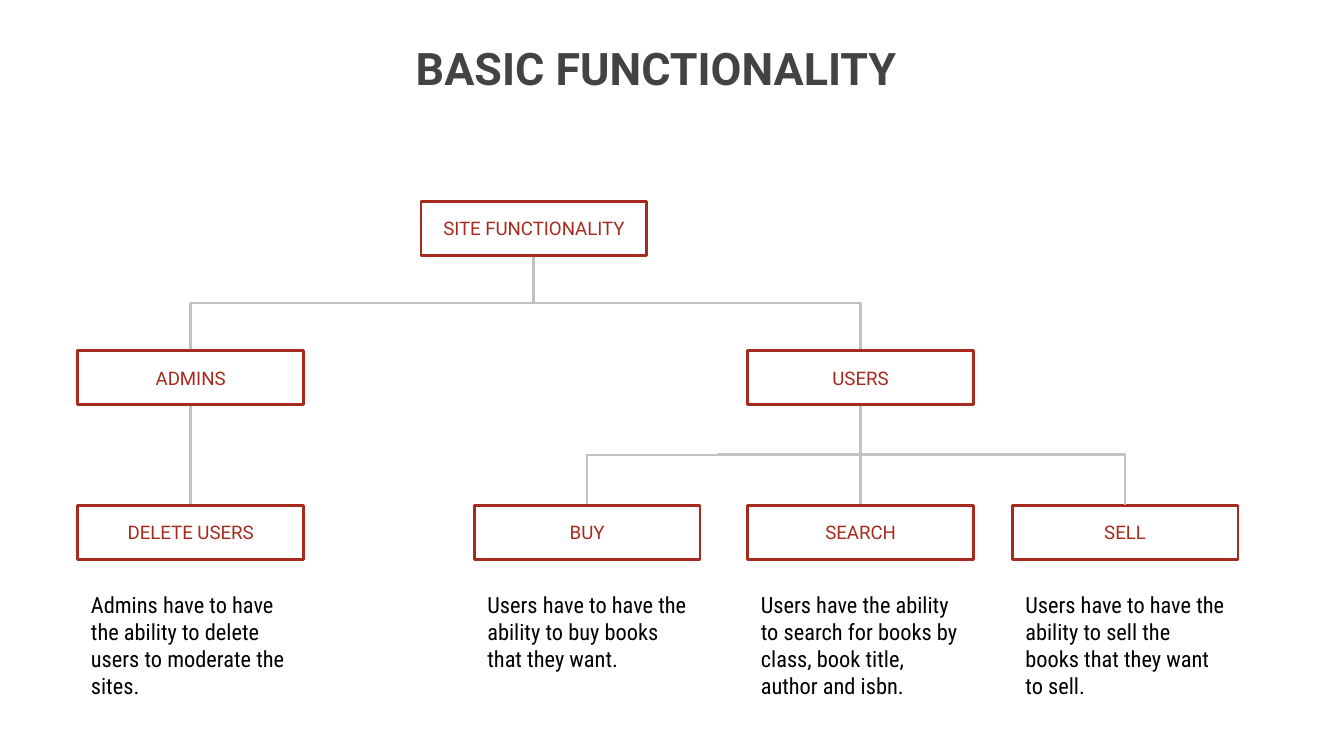
from dataclasses import dataclass

from lxml.etree import SubElement
from pptx import Presentation
from pptx.dml.color import RGBColor
from pptx.enum.shapes import MSO_CONNECTOR, MSO_SHAPE
from pptx.enum.text import MSO_ANCHOR, PP_ALIGN
from pptx.oxml.ns import qn
from pptx.util import Pt


@dataclass(frozen=True)
class Theme:
    title_color: str = "434343"
    accent: str = "A72A1E"
    branch: str = "C2C2C2"
    body_color: str = "000000"
    heading_font: str = "Roboto"
    body_font: str = "Roboto Condensed"
    title_size: float = 24
    label_size: float = 10
    body_size: float = 12
    line_width: float = 1.5
    inset: float = 7.2


BOX_WIDTH, BOX_HEIGHT = 121, 28.8
NOTE_TOP, NOTE_HEIGHT = 309.6, 74.2


def write_text(shape, text, *, font, size, color, bold=False,
               align=PP_ALIGN.LEFT, anchor=MSO_ANCHOR.TOP, inset=7.2):
    frame = shape.text_frame
    frame.word_wrap = True
    frame.vertical_anchor = anchor
    frame.margin_left = frame.margin_right = Pt(inset)
    frame.margin_top = frame.margin_bottom = Pt(inset)
    paragraph = frame.paragraphs[0]
    paragraph.alignment = align
    run = paragraph.add_run()
    run.text = text
    run.font.name = font
    run.font.size = Pt(size)
    run.font.bold = bold
    run.font.color.rgb = RGBColor.from_string(color)


class ChartSlide:
    def __init__(self, slide, theme):
        self.slide = slide
        self.theme = theme

    def text(self, text, left, top, width, height, **style):
        area = self.slide.shapes.add_textbox(
            Pt(left), Pt(top), Pt(width), Pt(height))
        write_text(area, text, inset=self.theme.inset, **style)

    def title(self, text):
        theme = self.theme
        self.text(text, -8.5, 14.4, 720, 74.2, font=theme.heading_font,
                  size=theme.title_size, color=theme.title_color,
                  bold=True, align=PP_ALIGN.CENTER)

    def note(self, text, left):
        theme = self.theme
        self.text(text, left, NOTE_TOP, BOX_WIDTH, NOTE_HEIGHT,
                  font=theme.body_font, size=theme.body_size,
                  color=theme.body_color)

    def box(self, label, left, top):
        theme = self.theme
        box = self.slide.shapes.add_shape(
            MSO_SHAPE.RECTANGLE, Pt(left), Pt(top), Pt(BOX_WIDTH), Pt(BOX_HEIGHT))
        box.shadow.inherit = False
        box.fill.background()
        box.line.color.rgb = RGBColor.from_string(theme.accent)
        box.line.width = Pt(theme.line_width)
        write_text(box, label, font=theme.heading_font, size=theme.label_size,
                   color=theme.accent, align=PP_ALIGN.CENTER,
                   anchor=MSO_ANCHOR.MIDDLE, inset=theme.inset)

    def elbow(self, x1, y1, x2, y2):
        """Elbow that leaves its start horizontally."""
        branch = self.slide.shapes.add_connector(
            MSO_CONNECTOR.ELBOW, Pt(x1), Pt(y1), Pt(x2), Pt(y2))
        branch.line.color.rgb = RGBColor.from_string(self.theme.branch)
        branch.line.width = Pt(self.theme.line_width)
        properties = branch._element.spPr
        SubElement(properties, qn("a:effectLst"))
        return properties

    def branch(self, x1, y1, x2, y2):
        """Elbow from a box down to its child: a sideways one turned by 90°."""
        mid_x, mid_y = (x1 + x2) / 2, (y1 + y2) / 2
        half_x, half_y = (x2 - x1) / 2, (y2 - y1) / 2
        properties = self.elbow(mid_x - half_y, mid_y + half_x,
                                mid_x + half_y, mid_y - half_x)
        properties.find(qn("a:xfrm")).set("rot", str(90 * 60000))

    def corner(self, x1, y1, x2, y2):
        """Elbow with a single bend, across and then down."""
        properties = self.elbow(x1, y1, x2, y2)
        properties.find(qn("a:prstGeom")).set("prst", "bentConnector2")


# Box label: left, top
BOXES = {
    "SITE FUNCTIONALITY": (225.5, 108),
    "ADMINS": (41.6, 188),
    "USERS": (400.5, 188),
    "DELETE USERS": (41.6, 270.8),
    "BUY": (254, 270.8),
    "SEARCH": (400.5, 270.8),
    "SELL": (542.2, 270.8),
}
BRANCHES = [
    ("SITE FUNCTIONALITY", "USERS"),
    ("SITE FUNCTIONALITY", "ADMINS"),
    ("ADMINS", "DELETE USERS"),
    ("USERS", "SEARCH"),
    ("USERS", "BUY"),
]
NOTES = {
    "DELETE USERS": "Admins have to have the ability to delete users to moderate the sites.",
    "BUY": "Users have to have the ability to buy books that they want.",
    "SEARCH": "Users have the ability to search for books by class, book title, author and isbn.",
    "SELL": "Users have to have the ability to sell the books that they want to sell.",
}


def top_center(label):
    left, top = BOXES[label]
    return left + BOX_WIDTH / 2, top


def bottom_center(label):
    x, top = top_center(label)
    return x, top + BOX_HEIGHT


def main():
    presentation = Presentation()
    presentation.slide_width, presentation.slide_height = Pt(720), Pt(405)
    chart = ChartSlide(
        presentation.slides.add_slide(presentation.slide_layouts[6]), Theme())

    chart.title("BASIC FUNCTIONALITY")

    # Branches lie behind the boxes
    for parent, child in BRANCHES:
        chart.branch(*bottom_center(parent), *top_center(child))

    # Boxes of the tree
    for label, (left, top) in BOXES.items():
        chart.box(label, left, top)

    # Notes under the lowest row
    for label, note in NOTES.items():
        chart.note(note, BOXES[label][0])

    # Branch to the last box
    chart.corner(384.5, 243.6, *top_center("SELL"))

    presentation.save("out.pptx")


if __name__ == "__main__":
    main()
